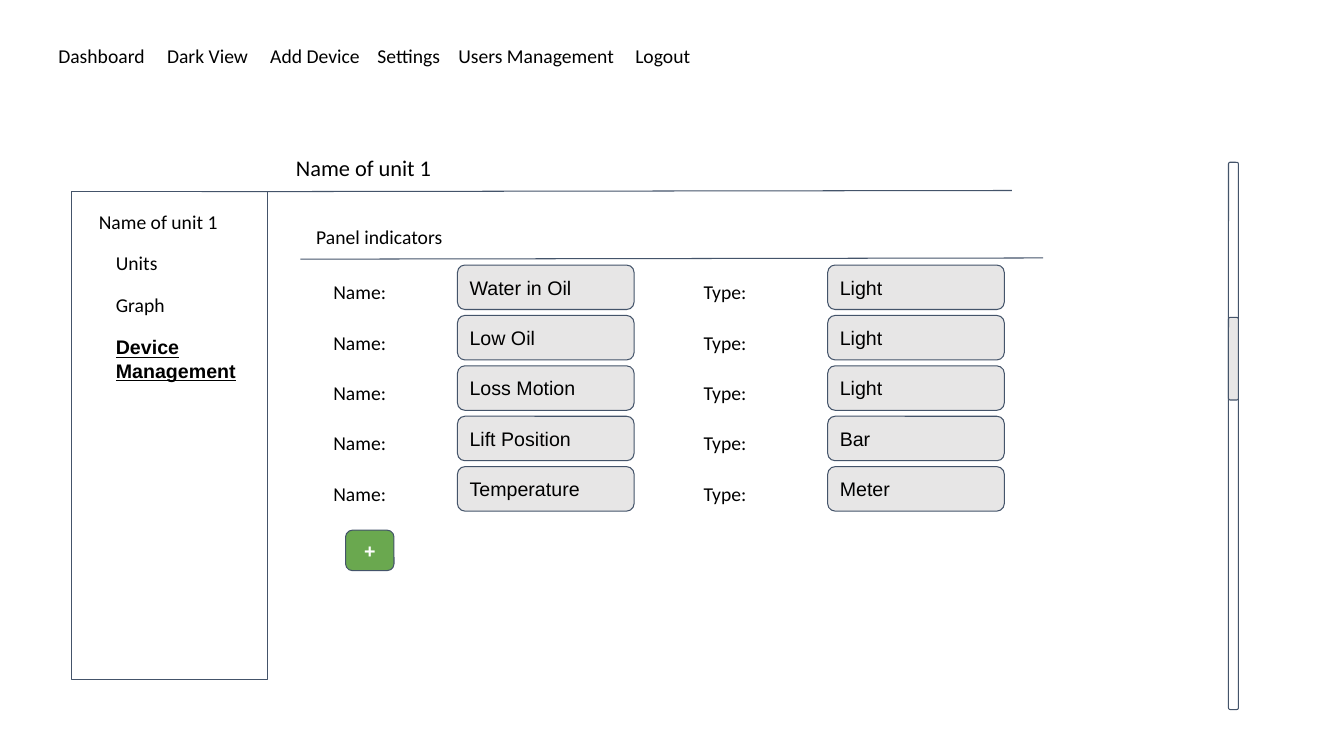
"""Build the device management wireframe slide."""
from dataclasses import dataclass

from lxml.etree import SubElement
from pptx import Presentation
from pptx.dml.color import RGBColor as RGB
from pptx.enum.shapes import MSO_CONNECTOR as Link, MSO_SHAPE as Form
from pptx.enum.text import MSO_ANCHOR as Anchor, PP_ALIGN as Align
from pptx.oxml.ns import qn
from pptx.util import Cm, Pt


@dataclass(frozen=True)
class Theme:
    ink: RGB = RGB(0, 0, 0)
    white: RGB = RGB(255, 255, 255)
    edge: RGB = RGB(0x44, 0x54, 0x6A)
    gray: RGB = RGB(0xE7, 0xE6, 0xE6)
    green: RGB = RGB(0x6A, 0xA8, 0x4F)
    sans: str = "Calibri"
    bold: str = "Arial"
    body: int = 14
    head: int = 16
    rule: float = 0.75
    pad: float = 0.25


THEME = Theme()
MENU = ["Dashboard", "Dark View", "Add Device", "Settings", "Users Management", "Logout"]
STOPS = [2.74, 5.34, 8.04, 10.08, 14.54]
PANEL = [
    ("Water in Oil", "Light"),
    ("Low Oil", "Light"),
    ("Loss Motion", "Light"),
    ("Lift Position", "Bar"),
    ("Temperature", "Meter"),
]


def write(shape, text, font, size=THEME.body, color=THEME.ink, strong=False):
    """Put one styled line of text in a shape and return its paragraph."""
    frame = shape.text_frame
    frame.word_wrap = True
    frame.margin_left = frame.margin_right = Cm(THEME.pad)
    frame.margin_top = frame.margin_bottom = Cm(THEME.pad)
    para = frame.paragraphs[0]
    para.text = text
    para.alignment = Align.LEFT
    para.font.name, para.font.size = font, Pt(size)
    para.font.color.rgb, para.font.bold = color, strong
    return para


def label(slide, text, x, y, w, h=1.12, font=THEME.sans, **style):
    """Add a text box and return its paragraph."""
    box = slide.shapes.add_textbox(Cm(x), Cm(y), Cm(w), Cm(h))
    return write(box, text, font, **style)


def block(slide, form, x, y, w, h, fill=None):
    """Add an outlined shape, filled when a colour is given."""
    shape = slide.shapes.add_shape(form, Cm(x), Cm(y), Cm(w), Cm(h))
    shape.shadow.inherit = False
    shape.line.color.rgb, shape.line.width = THEME.edge, Pt(THEME.rule)
    if fill is None:
        shape.fill.background()
    else:
        shape.fill.solid()
        shape.fill.fore_color.rgb = fill
    shape.text_frame.vertical_anchor = Anchor.MIDDLE
    return shape


def rule(slide, x1, y1, x2, y2):
    """Add a thin line without a shadow."""
    line = slide.shapes.add_connector(Link.STRAIGHT, Cm(x1), Cm(y1), Cm(x2), Cm(y2))
    line.line.color.rgb, line.line.width = THEME.edge, Pt(THEME.rule)
    SubElement(line._element.spPr, qn("a:effectLst"))


def menu(slide):
    """Add the top menu, spaced by tab stops."""
    box = slide.shapes.add_textbox(Cm(1.22), Cm(0.86), Cm(17.58), Cm(1.12))
    props = box.text_frame.paragraphs[0]._p.get_or_add_pPr()
    tabs = SubElement(props, qn("a:tabLst"))
    for stop in STOPS:
        SubElement(tabs, qn("a:tab"), pos=str(Cm(stop)), algn="l")
    write(box, "\t".join(MENU), THEME.sans)


def sidebar(slide):
    """Add the side panel with its links."""
    block(slide, Form.RECTANGLE, 1.8, 4.83, 4.95, 12.29)
    label(slide, "Name of unit 1", 2.24, 5.03, 3.96)
    for row, text in enumerate(["Units", "Graph"]):
        label(slide, text, 2.67, 6.07 + row * 1.07, 3.96)
    active = label(slide, "Device Management", 2.67, 8.2, 4.57, 1.7,
                   font=THEME.bold, strong=True)
    active.font.underline = True


def field(slide, name, value, x, y):
    """Add a label with its rounded input box."""
    shape = block(slide, Form.ROUNDED_RECTANGLE, x + 3.38, y, 4.45, 1.12, THEME.gray)
    write(shape, value, THEME.bold)
    label(slide, name, x, y + 0.13, 5.16)


def panel(slide):
    """Add the indicator list and its add button."""
    label(slide, "Panel indicators", 7.72, 5.41, 5.82)
    rule(slide, 7.57, 6.53, 26.29, 6.5)
    for row, (name, kind) in enumerate(PANEL):
        y = 6.68 + row * 1.27
        field(slide, "Name:", name, 8.15, y)
        field(slide, "Type:", kind, 17.48, y)
    button = block(slide, Form.ROUNDED_RECTANGLE, 8.71, 13.36, 1.22, 1.02, THEME.green)
    plus = write(button, "+", THEME.bold, color=THEME.white, strong=True)
    plus.alignment = Align.CENTER


def scroll(slide):
    """Add the scroll bar and its thumb."""
    block(slide, Form.ROUNDED_RECTANGLE, 30.96, 4.09, 0.25, 13.79)
    block(slide, Form.ROUNDED_RECTANGLE, 30.96, 8, 0.25, 2.08, THEME.gray)


def main():
    """Build and save the slide."""
    deck = Presentation()
    deck.slide_width, deck.slide_height = Cm(33.87), Cm(19.05)
    slide = deck.slides.add_slide(deck.slide_layouts[6])
    rule(slide, 5.08, 4.83, 25.5, 4.8)
    label(slide, "Name of unit 1", 7.21, 3.63, 5.49, 1.19, size=THEME.head)
    menu(slide)
    sidebar(slide)
    panel(slide)
    scroll(slide)
    deck.save("out.pptx")


if __name__ == "__main__":
    main()
